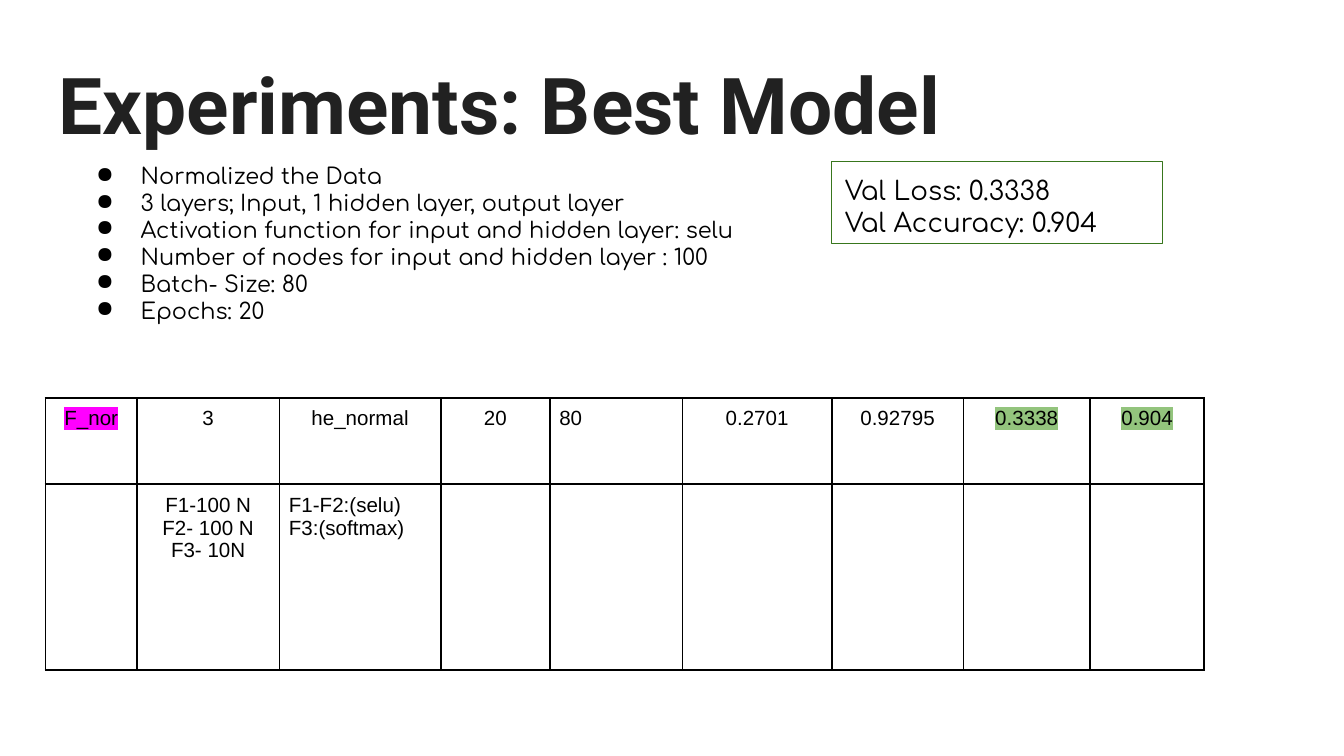
from lxml import etree
from pptx import Presentation
from pptx.dml.color import RGBColor
from pptx.enum.shapes import MSO_SHAPE
from pptx.enum.text import MSO_ANCHOR, MSO_AUTO_SIZE, PP_ALIGN
from pptx.oxml.ns import qn
from pptx.util import Cm, Pt

RECTANGLE = MSO_SHAPE.RECTANGLE
TOP = MSO_ANCHOR.TOP
NO_AUTOFIT = MSO_AUTO_SIZE.NONE
LEFT, CENTER = PP_ALIGN.LEFT, PP_ALIGN.CENTER
TITLE_ONLY = 5

TITLE = "Experiments: Best Model"
SETTINGS = [
    "Normalized the Data",
    "3 layers; Input, 1 hidden layer, output layer",
    "Activation function for input and hidden layer: selu",
    "Number of nodes for input and hidden layer : 100",
    "Batch- Size: 80",
    "Epochs: 20",
]
SCORES = ["Val Loss: 0.3338", "Val Accuracy: 0.904"]
RESULTS = [
    ["F_nor", "3", "he_normal", "20", "80", "0.2701", "0.92795", "0.3338", "0.904"],
    ["", "F1-100 N\nF2- 100 N\nF3- 10N", "F1-F2:(selu)\nF3:(softmax)"] + [""] * 6,
]
LEFT_ALIGNED = {(0, 4), (1, 2)}
HIGHLIGHTS = {(0, 0): "magenta", (0, 7): "green", (0, 8): "green"}

COLUMN_WIDTHS = [1.73, 2.69, 3.05, 2.06, 2.51, 2.82, 2.49, 2.39, 2.16]
ROW_HEIGHTS = [1.63, 3.51]

THEME = {
    "title": ("Roboto", 42, "212121"),
    "settings": ("Comfortaa", 12, "000000"),
    "scores": ("Comfortaa", 14, "000000"),
    "results": ("Arial", 11, "000000"),
    "grid": "000000",
    "score_border": "38761D",
    "magenta": "FF00FF",
    "green": "93C47D",
}


def style_font(font, role, bold=False):
    name, size, color = THEME[role]
    font.name = name
    font.size = Pt(size)
    font.bold = bold
    font.color.rgb = RGBColor.from_string(color)


def fill_frame(frame, lines, role, align=LEFT, bold=False):
    frame.text = "\n".join(lines)
    frame.word_wrap = True
    frame.auto_size = NO_AUTOFIT
    frame.vertical_anchor = TOP
    frame.margin_left = frame.margin_right = Cm(0.25)
    frame.margin_top = frame.margin_bottom = Cm(0.25)
    for paragraph in frame.paragraphs:
        paragraph.alignment = align
        for run in paragraph.runs:
            style_font(run.font, role, bold)


def add_color(parent, color):
    etree.SubElement(parent, qn("a:srgbClr"), val=color)


def add_bullet(paragraph):
    properties = paragraph._p.get_or_add_pPr()
    properties.set("marL", str(Cm(1.27)))
    properties.set("indent", str(-Cm(0.84)))
    add_color(etree.SubElement(properties, qn("a:buClr")), THEME["settings"][2])
    etree.SubElement(properties, qn("a:buChar"), char="●")


def highlight(run, color):
    mark = etree.Element(qn("a:highlight"))
    add_color(mark, color)
    run._r.get_or_add_rPr().find(qn("a:latin")).addprevious(mark)


def add_borders(cell):
    properties = cell._tc.get_or_add_tcPr()
    for side in ("a:lnL", "a:lnR", "a:lnT", "a:lnB"):
        border = etree.SubElement(properties, qn(side), w=str(Pt(1)))
        add_color(etree.SubElement(border, qn("a:solidFill")), THEME["grid"])


def add_title(slide):
    title = slide.shapes.title
    title.left, title.top, title.width, title.height = Cm(0.86), Cm(0.81), Cm(23.67), Cm(2.24)
    fill_frame(title.text_frame, [TITLE], "title", bold=True)


def add_settings(slide):
    box = slide.shapes.add_textbox(Cm(1.14), Cm(2.82), Cm(14.02), Cm(3.45))
    fill_frame(box.text_frame, SETTINGS, "settings")
    for paragraph in box.text_frame.paragraphs:
        add_bullet(paragraph)


def add_scores(slide):
    box = slide.shapes.add_shape(RECTANGLE, Cm(15.72), Cm(3.05), Cm(6.25), Cm(1.55))
    box.shadow.inherit = False
    box.fill.background()
    box.line.color.rgb = RGBColor.from_string(THEME["score_border"])
    box.line.width = Pt(0.75)
    fill_frame(box.text_frame, SCORES, "scores")


def add_results(slide):
    table = slide.shapes.add_table(
        len(ROW_HEIGHTS), len(COLUMN_WIDTHS), Cm(0.86), Cm(7.52),
        Cm(sum(COLUMN_WIDTHS)), Cm(sum(ROW_HEIGHTS)),
    ).table
    table.first_row = table.horz_banding = False
    for column, width in zip(table.columns, COLUMN_WIDTHS):
        column.width = Cm(width)
    for row, height in zip(table.rows, ROW_HEIGHTS):
        row.height = Cm(height)
    for r, values in enumerate(RESULTS):
        for c, value in enumerate(values):
            cell = table.cell(r, c)
            add_borders(cell)
            cell.fill.background()
            cell.margin_left = cell.margin_right = Cm(0.18)
            cell.margin_top = cell.margin_bottom = Cm(0.18)
            cell.text_frame.text = value
            for paragraph in cell.text_frame.paragraphs:
                paragraph.alignment = LEFT if (r, c) in LEFT_ALIGNED else CENTER
                for run in paragraph.runs:
                    style_font(run.font, "results")
                    if (r, c) in HIGHLIGHTS:
                        highlight(run, THEME[HIGHLIGHTS[r, c]])


def main():
    deck = Presentation()
    deck.slide_width, deck.slide_height = Cm(25.4), Cm(14.29)
    slide = deck.slides.add_slide(deck.slide_layouts[TITLE_ONLY])
    add_title(slide)
    add_results(slide)
    add_settings(slide)
    add_scores(slide)
    deck.save("out.pptx")


if __name__ == "__main__":
    main()
